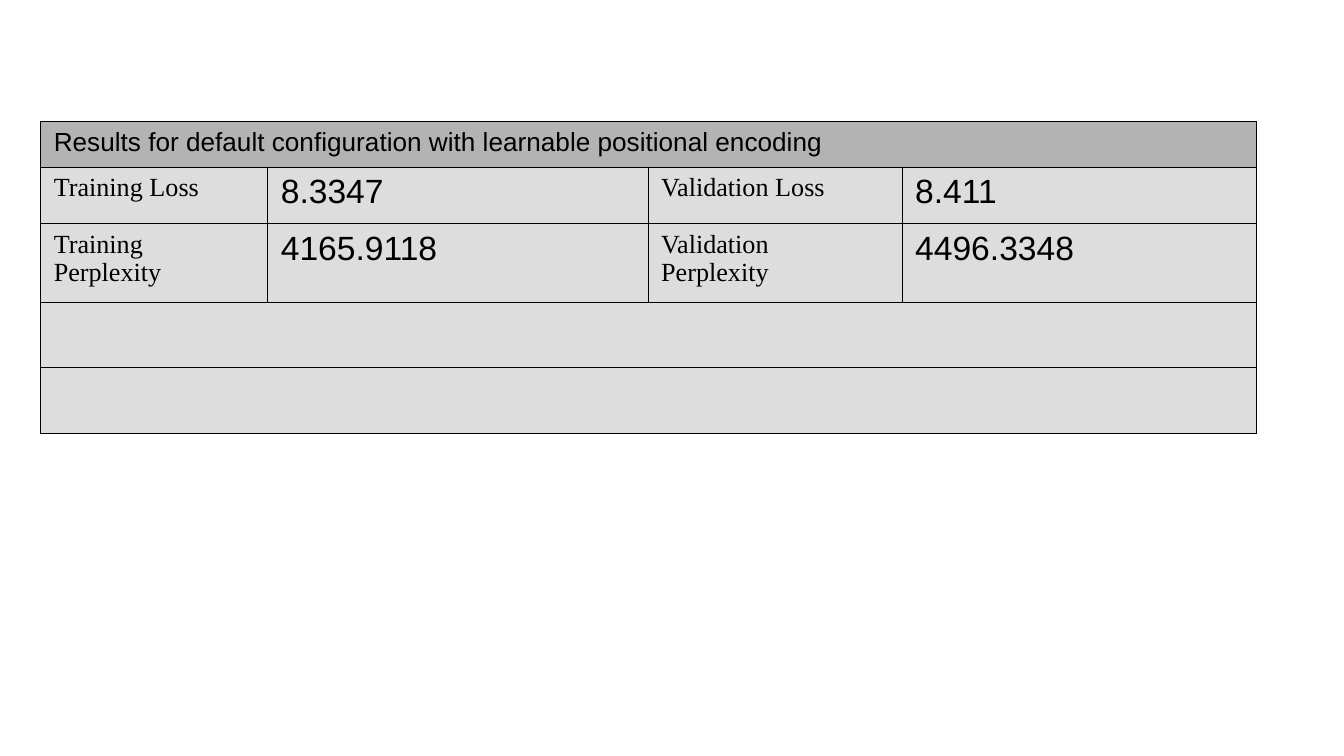
"""Build a slide with a table of training and validation results."""
import dataclasses

import pptx
import pptx.dml.color
import pptx.oxml
import pptx.oxml.ns
import pptx.table
import pptx.util

Inches = pptx.util.Inches
BLACK = pptx.dml.color.RGBColor(0x00, 0x00, 0x00)
HEADER_GRAY = pptx.dml.color.RGBColor(0xB3, 0xB3, 0xB3)
BODY_GRAY = pptx.dml.color.RGBColor(0xDD, 0xDD, 0xDD)
BORDER_WIDTH = pptx.util.Pt(0.06)

COLUMN_WIDTHS = (1.69, 2.83, 1.89, 2.64)
ROW_HEIGHTS = (0.34, 0.42, 0.59, 0.48, 0.49)
MERGED_ROWS = (0, 3, 4)


@dataclasses.dataclass(frozen=True)
class TextStyle:
    font: str
    size: int


@dataclasses.dataclass(frozen=True)
class Entry:
    row: int
    column: int
    text: str
    style: TextStyle


HEADER = TextStyle("Arial", 14)
LABEL = TextStyle("Times New Roman", 14)
VALUE = TextStyle("Arial", 18)

ENTRIES = (
    Entry(0, 0, "Results for default configuration with learnable positional encoding", HEADER),
    Entry(1, 0, "Training Loss", LABEL),
    Entry(1, 1, "8.3347", VALUE),
    Entry(1, 2, "Validation Loss", LABEL),
    Entry(1, 3, "8.411", VALUE),
    Entry(2, 0, "Training Perplexity", LABEL),
    Entry(2, 1, "4165.9118", VALUE),
    Entry(2, 2, "Validation\nPerplexity", LABEL),
    Entry(2, 3, "4496.3348", VALUE),
)


def style_cell(cell: pptx.table._Cell, color: pptx.dml.color.RGBColor) -> None:
    """Give a cell its fill and thin black borders."""
    cell.fill.solid()
    cell.fill.fore_color.rgb = color
    properties = cell._tc.get_or_add_tcPr()
    for index, side in enumerate(("lnL", "lnR", "lnT", "lnB")):
        border = pptx.oxml.parse_xml(
            f'<a:{side} {pptx.oxml.ns.nsdecls("a")} w="{BORDER_WIDTH}">'
            f'<a:solidFill><a:srgbClr val="{BLACK}"/></a:solidFill></a:{side}>'
        )
        properties.insert(index, border)


def write_entry(table: pptx.table.Table, entry: Entry) -> None:
    """Write one entry into its cell, run by run."""
    paragraph = table.cell(entry.row, entry.column).text_frame.paragraphs[0]
    for index, line in enumerate(entry.text.split("\n")):
        if index:
            paragraph.add_line_break()
        run = paragraph.add_run()
        run.text = line
        run.font.name = entry.style.font
        run.font.size = pptx.util.Pt(entry.style.size)
        run.font.bold = False
        run.font.color.rgb = BLACK


def main() -> None:
    """Create the presentation and save it."""
    presentation = pptx.Presentation()
    presentation.slide_width = Inches(10)
    presentation.slide_height = presentation.slide_width * 9 // 16
    slide = presentation.slides.add_slide(presentation.slide_layouts[6])

    table = slide.shapes.add_table(
        len(ROW_HEIGHTS), len(COLUMN_WIDTHS), Inches(0.3), Inches(0.9),
        Inches(sum(COLUMN_WIDTHS)), Inches(sum(ROW_HEIGHTS)),
    ).table
    table.first_row = False
    table.horz_banding = False
    for column, width in zip(table.columns, COLUMN_WIDTHS):
        column.width = Inches(width)
    for index, (row, height) in enumerate(zip(table.rows, ROW_HEIGHTS)):
        row.height = Inches(height)
        for cell in row.cells:
            style_cell(cell, HEADER_GRAY if index == 0 else BODY_GRAY)
    for index in MERGED_ROWS:
        table.cell(index, 0).merge(table.cell(index, len(COLUMN_WIDTHS) - 1))
    for entry in ENTRIES:
        write_entry(table, entry)

    presentation.save("out.pptx")


if __name__ == "__main__":
    main()
